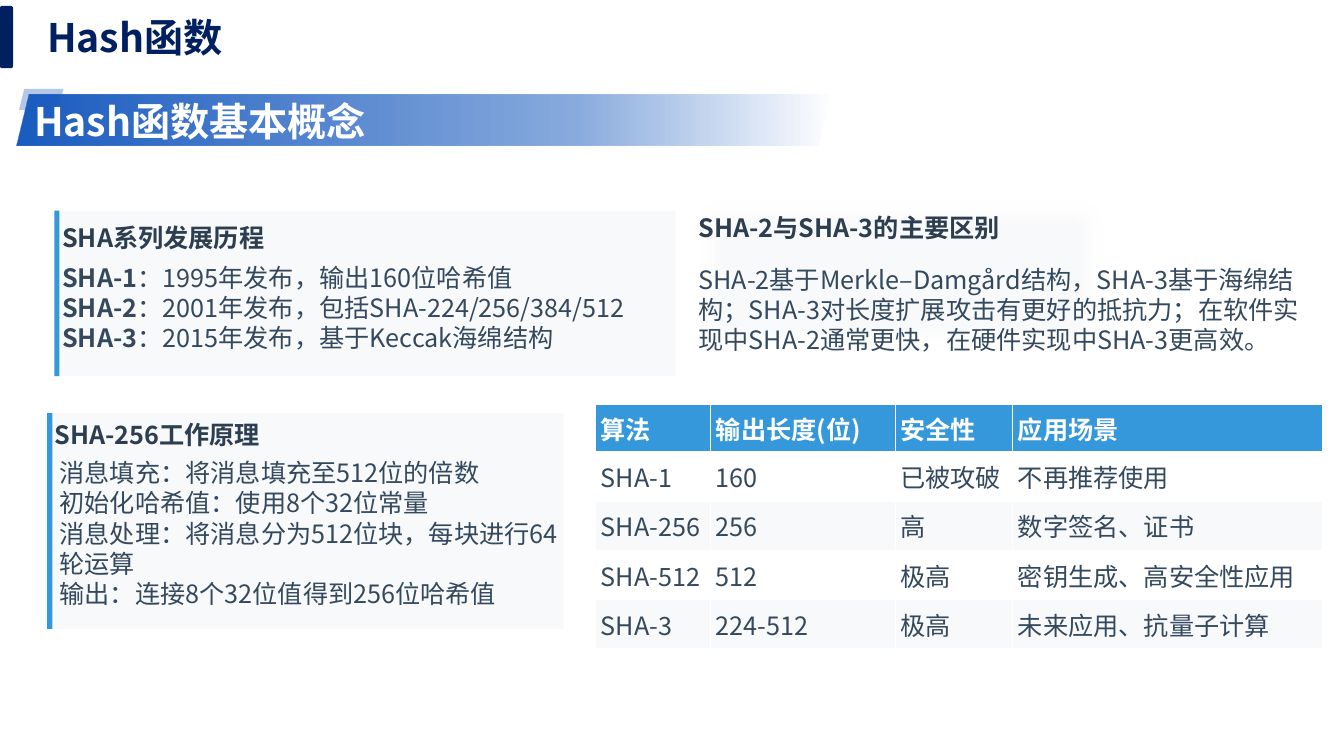
from dataclasses import dataclass

from lxml.etree import SubElement
from pptx import Presentation
from pptx.dml.color import RGBColor
from pptx.enum.shapes import MSO_SHAPE
from pptx.enum.text import MSO_ANCHOR, PP_ALIGN
from pptx.oxml import parse_xml
from pptx.oxml.ns import nsdecls, qn
from pptx.util import Cm, Pt

FONT = "Noto Sans CJK SC"
NAVY, BLUE, PALE_BLUE = "002060", "1A5CC0", "B4C7E7"
ACCENT, PANEL, WHITE = "3498DB", "F8F9FA", "FFFFFF"
HEADING, BODY = "2C3E50", "34495E"


@dataclass
class Box:
    left: float
    top: float
    width: float
    height: float

    def lengths(self) -> tuple:
        return tuple(Cm(v) for v in (self.left, self.top, self.width, self.height))


@dataclass
class Section:
    heading: str
    heading_box: Box
    lines: list  # each line is a list of (text, bold) runs
    body_box: Box
    panel: Box
    accent_left: float | None = None
    soft_edge: float = 0


SECTIONS = [
    Section(
        "SHA系列发展历程", Box(1.57, 5.61, 5.6, 0.76),
        [[("SHA-1", True), ("：1995年发布，输出160位哈希值", False)],
         [("SHA-2", True), ("：2001年发布，包括SHA-224/256/384/512", False)],
         [("SHA-3", True), ("：2015年发布，基于Keccak海绵结构", False)]],
        Box(1.57, 6.6, 14.88, 2.3), Box(1.37, 5.31, 15.65, 4.17), 1.37),
    Section(
        "SHA-256工作原理", Box(1.37, 10.57, 5.6, 0.76),
        [[("消息填充：将消息填充至512位的倍数", False)],
         [("初始化哈希值：使用8个32位常量", False)],
         [("消息处理：将消息分为512位块，每块进行64轮运算", False)],
         [("输出：连接8个32位值得到256位哈希值", False)]],
        Box(1.5, 11.53, 12.9, 3.84), Box(1.14, 10.41, 13.06, 5.44), 1.19),
    Section(
        "SHA-2与SHA-3的主要区别", Box(17.6, 5.36, 8.74, 0.76),
        [[("SHA-2基于Merkle–Damgård结构，SHA-3基于海绵结构；"
           "SHA-3对长度扩展攻击有更好的抵抗力；在软件实现中SHA-2通常更快，"
           "在硬件实现中SHA-3更高效。", False)]],
        Box(17.6, 6.65, 15.49, 2.31), Box(17.45, 4.9, 10.49, 4.04), None, 0.45),
]

COLUMN_WIDTHS = [2.9, 4.65, 2.96, 7.8]
HEADER_HEIGHT, ROW_HEIGHT = 1.2, 1.24
TABLE_BOX = Box(15.01, 10.19, sum(COLUMN_WIDTHS), HEADER_HEIGHT + 4 * ROW_HEIGHT)
ROWS = [
    ["算法", "输出长度(位)", "安全性", "应用场景"],
    ["SHA-1", "160", "已被攻破", "不再推荐使用"],
    ["SHA-256", "256", "高", "数字签名、证书"],
    ["SHA-512", "512", "极高", "密钥生成、高安全性应用"],
    ["SHA-3", "224-512", "极高", "未来应用、抗量子计算"],
]


def rgb(value: str) -> RGBColor:
    return RGBColor.from_string(value)


def set_attributes(target, values: dict) -> None:
    for name, value in values.items():
        setattr(target, name, value)


def add_run(p, text: str, size: float, color: str, bold: bool = False) -> None:
    r = p.add_run()
    r.text = text
    set_attributes(r.font, {"name": FONT, "size": Pt(size), "bold": bold})
    r.font.color.rgb = rgb(color)
    SubElement(r.font._element, qn("a:ea")).set("typeface", FONT)


def format_frame(tf, margins: tuple, anchor=MSO_ANCHOR.MIDDLE) -> None:
    horizontal, vertical = (Cm(m) for m in margins)
    set_attributes(tf, {
        "word_wrap": True, "vertical_anchor": anchor,
        "margin_left": horizontal, "margin_right": horizontal,
        "margin_top": vertical, "margin_bottom": vertical})


def add_text(slide, box: Box, lines: list, size: float, color: str,
             margins: tuple = (0, 0), anchor=MSO_ANCHOR.MIDDLE) -> None:
    tf = slide.shapes.add_textbox(*box.lengths()).text_frame
    format_frame(tf, margins, anchor)
    for i, runs in enumerate(lines):
        p = tf.add_paragraph() if i else tf.paragraphs[0]
        for text, bold in runs:
            add_run(p, text, size, color, bold)


def add_block(slide, box: Box, color: str, kind=MSO_SHAPE.RECTANGLE):
    sp = slide.shapes.add_shape(kind, *box.lengths())
    sp.shadow.inherit = False
    sp.fill.solid()
    sp.fill.fore_color.rgb = rgb(color)
    sp.line.fill.background()
    return sp


def fade_out(sp, color: str, stops: list) -> None:
    gs = "".join(
        f'<a:gs pos="{pos * 1000}"><a:srgbClr val="{color}">'
        f'<a:alpha val="{alpha * 1000}"/></a:srgbClr></a:gs>'
        for pos, alpha in stops)
    solid = sp._element.spPr.find(qn("a:solidFill"))
    solid.getparent().replace(solid, parse_xml(
        f'<a:gradFill {nsdecls("a")} rotWithShape="1"><a:gsLst>{gs}</a:gsLst>'
        '<a:lin ang="0" scaled="0"/></a:gradFill>'))


def add_section(slide, section: Section) -> None:
    panel = add_block(slide, section.panel, PANEL)
    if section.soft_edge:
        effects = panel._element.spPr.find(qn("a:effectLst"))
        SubElement(effects, qn("a:softEdge")).set("rad", str(Cm(section.soft_edge)))
    if section.accent_left is not None:
        accent = Box(section.accent_left, section.panel.top, 0.13, section.panel.height)
        add_block(slide, accent, ACCENT)
    add_text(slide, section.heading_box, [[(section.heading, True)]], 18, HEADING)
    add_text(slide, section.body_box, section.lines, 18, BODY, anchor=MSO_ANCHOR.TOP)


def add_algorithm_table(slide) -> None:
    table = slide.shapes.add_table(
        len(ROWS), len(COLUMN_WIDTHS), *TABLE_BOX.lengths()).table
    table.horz_banding = False
    for column, width in zip(table.columns, COLUMN_WIDTHS):
        column.width = Cm(width)
    for i, values in enumerate(ROWS):
        header = i == 0
        table.rows[i].height = Cm(HEADER_HEIGHT if header else ROW_HEIGHT)
        fill = ACCENT if header else (WHITE if i % 2 else PANEL)
        for cell, text in zip(table.rows[i].cells, values):
            cell.fill.solid()
            cell.fill.fore_color.rgb = rgb(fill)
            set_attributes(cell, {
                "vertical_anchor": MSO_ANCHOR.MIDDLE, "margin_left": Cm(0.13),
                "margin_right": 0, "margin_top": 0, "margin_bottom": 0})
            add_run(cell.text_frame.paragraphs[0], text, 18,
                    WHITE if header else BODY, header)


def main() -> None:
    prs = Presentation()
    prs.slide_width, prs.slide_height = Cm(33.87), Cm(19.05)
    slide = prs.slides.add_slide(prs.slide_layouts[5])

    # Title with its side bar
    add_block(slide, Box(0, 0.15, 0.33, 1.57), NAVY, MSO_SHAPE.ROUNDED_RECTANGLE)
    title = slide.shapes.title
    left, top, width, height = Box(0.94, 0.2, 20.27, 1.45).lengths()
    set_attributes(title, {"left": left, "top": top, "width": width, "height": height})
    format_frame(title.text_frame, (0.25, 0.13))
    p = title.text_frame.paragraphs[0]
    p.alignment = PP_ALIGN.LEFT
    add_run(p, "Hash函数", 28, NAVY, True)

    # Subtitle banner
    add_block(slide, Box(0.48, 2.24, 1.12, 0.53), PALE_BLUE, MSO_SHAPE.PARALLELOGRAM)
    banner = add_block(slide, Box(0.43, 2.39, 20.5, 1.27), BLUE, MSO_SHAPE.PARALLELOGRAM)
    fade_out(banner, BLUE, [(0, 100), (69, 51), (100, 0)])
    add_text(slide, Box(0.61, 2.31, 18.87, 1.45), [[("Hash函数基本概念", True)]],
             28, WHITE, (0.25, 0.13))

    # Text sections and comparison table
    for section in SECTIONS:
        add_section(slide, section)
    add_algorithm_table(slide)

    prs.save("out.pptx")


if __name__ == "__main__":
    main()
